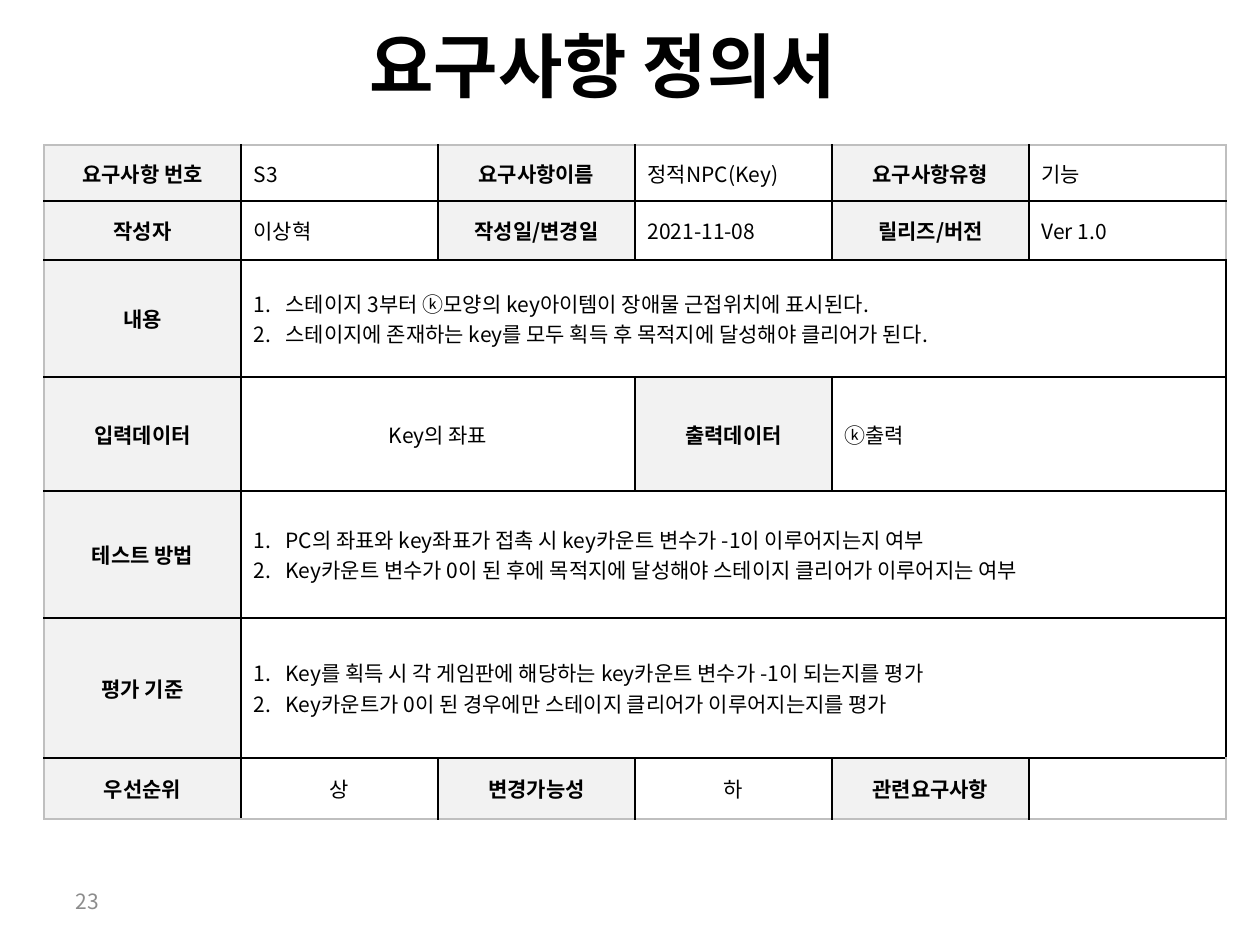
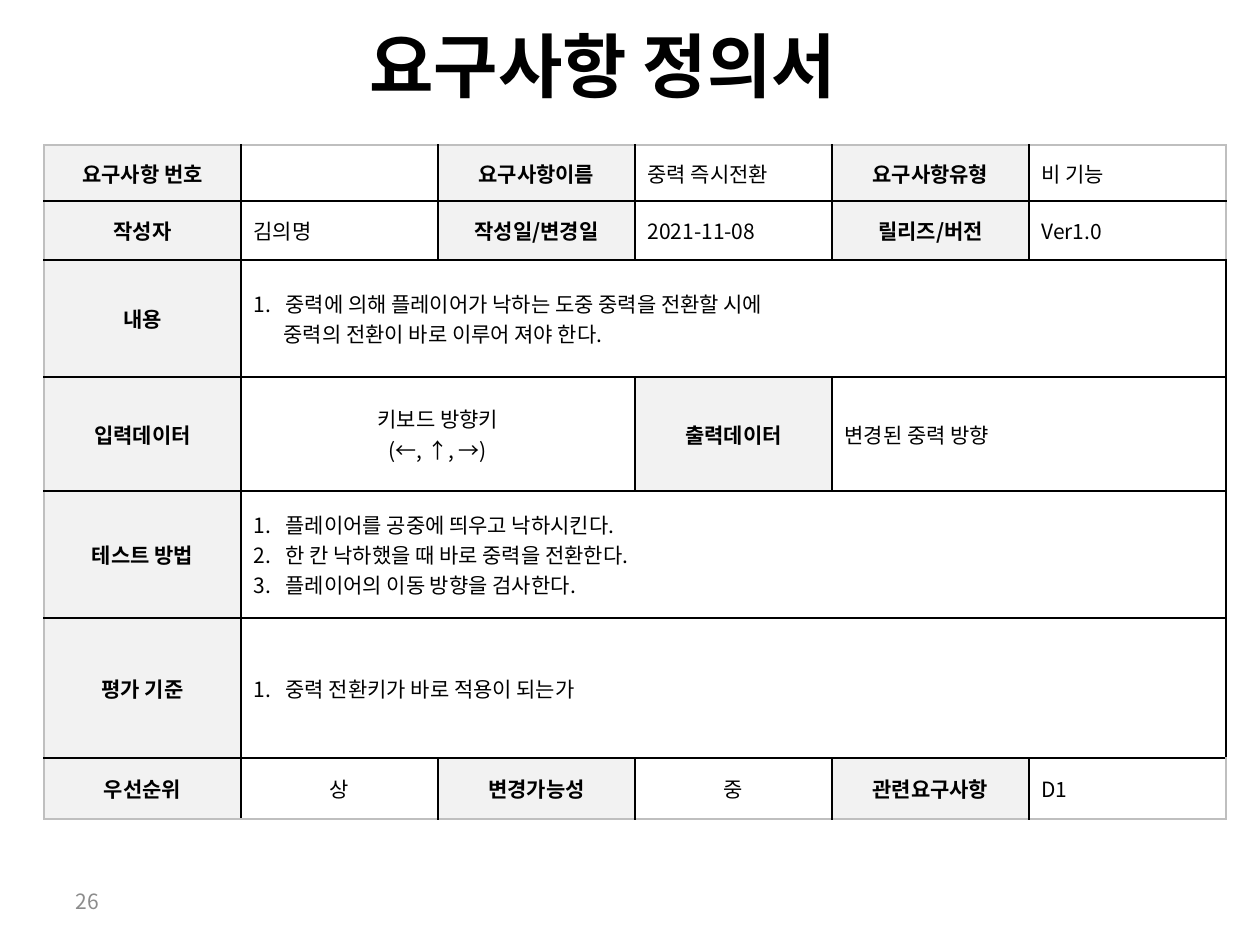
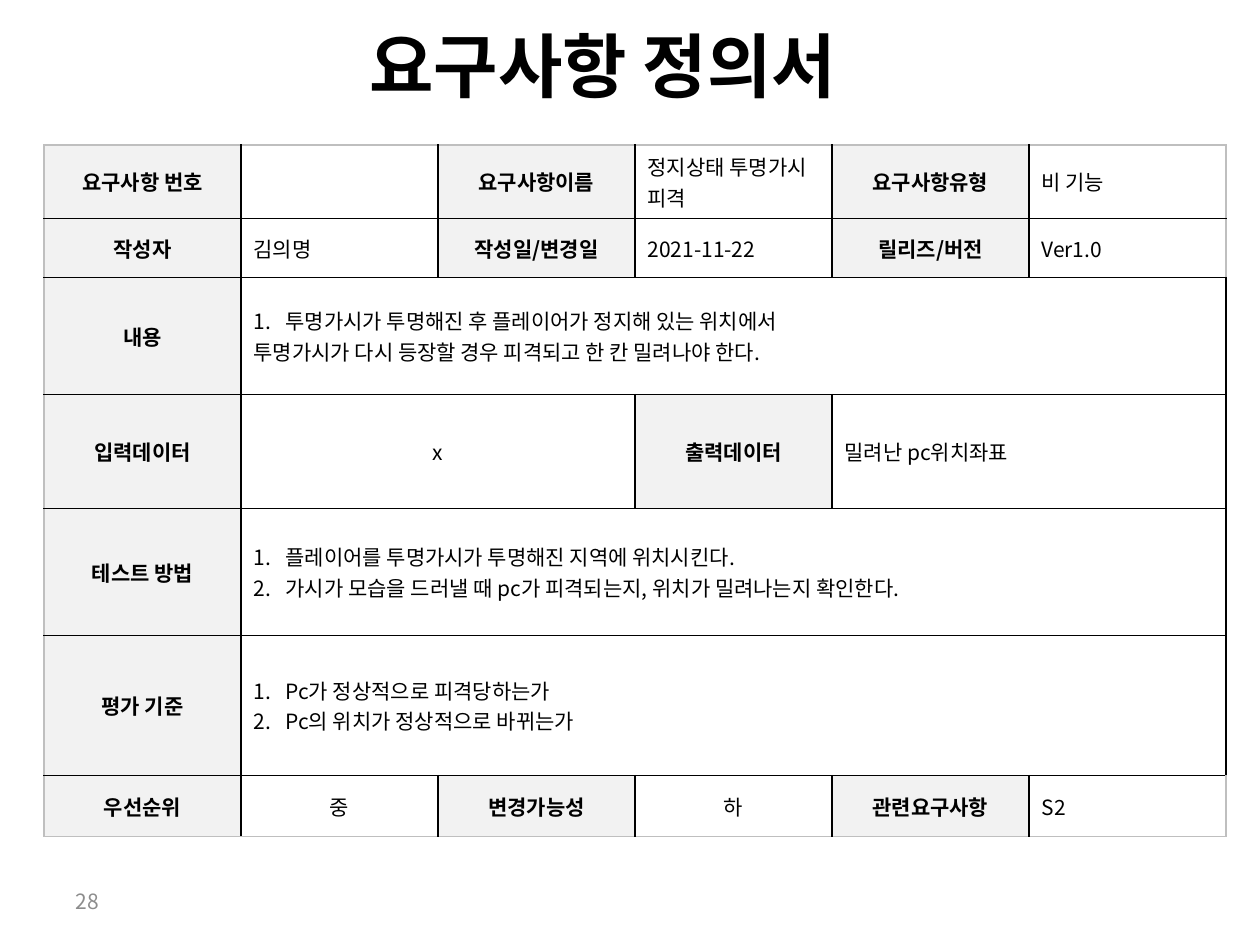
from lxml.etree import SubElement
from pptx import Presentation
from pptx.dml.color import RGBColor
from pptx.enum.text import MSO_ANCHOR, MSO_AUTO_SIZE, PP_ALIGN
from pptx.oxml.ns import qn
from pptx.util import Emu, Pt

PIXELS_PER_INCH = 126
FONT = "Noto Sans CJK KR"
COLORS = {"text": "000000", "label": "F2F2F2", "rule": "000000", "edge": "BFBFBF", "number": "8C8C8C"}
TITLE = "요구사항 정의서"
TITLE_BOX = (357, 16, 546, 97)
TABLE_BOX = (44, 145, 1182, 674)
NUMBER_BOX = (63, 876, 294, 50)
ROW_HEIGHTS = [56, 59, 117, 114, 127, 140, 61]
COLUMN_COUNT = 6
LIST_INDENT = 32

FORM_ROWS = [
    [("요구사항 번호", "id", 1), ("요구사항이름", "name", 1), ("요구사항유형", "type", 1)],
    [("작성자", "author", 1), ("작성일/변경일", "date", 1), ("릴리즈/버전", "version", 1)],
    [("내용", "content", 5)],
    [("입력데이터", "input", 2), ("출력데이터", "output", 2)],
    [("테스트 방법", "test", 5)],
    [("평가 기준", "criteria", 5)],
    [("우선순위", "priority", 1), ("변경가능성", "change", 1), ("관련요구사항", "related", 1)],
]
NUMBERED = {"content", "test", "criteria"}
CENTERED = {"input", "priority", "change"}

REQUIREMENTS = [
    {
        "page": "23", "id": ["S3"], "name": ["정적NPC(Key)"], "type": ["기능"],
        "author": ["이상혁"], "date": ["2021-11-08"], "version": ["Ver 1.0"],
        "content": [
            "스테이지 3부터 ⓚ모양의 key아이템이 장애물 근접위치에 표시된다.",
            "스테이지에 존재하는 key를 모두 획득 후 목적지에 달성해야 클리어가 된다.",
        ],
        "input": ["Key의 좌표"], "output": ["ⓚ출력"],
        "test": [
            "PC의 좌표와 key좌표가 접촉 시 key카운트 변수가 -1이 이루어지는지 여부",
            "Key카운트 변수가 0이 된 후에 목적지에 달성해야 스테이지 클리어가 이루어지는 여부",
        ],
        "criteria": [
            "Key를 획득 시 각 게임판에 해당하는 key카운트 변수가 -1이 되는지를 평가",
            "Key카운트가 0이 된 경우에만 스테이지 클리어가 이루어지는지를 평가",
        ],
        "priority": ["상"], "change": ["하"], "related": [""],
    },
    {
        "page": "26", "id": [""], "name": ["중력 즉시전환"], "type": ["비 기능"],
        "author": ["김의명"], "date": ["2021-11-08"], "version": ["Ver1.0"],
        "content": ["중력에 의해 플레이어가 낙하는 도중 중력을 전환할 시에"],
        "continuation": ("중력의 전환이 바로 이루어 져야 한다.", 30),
        "input": ["키보드 방향키", "(←, ↑, →)"], "output": ["변경된 중력 방향"],
        "test": [
            "플레이어를 공중에 띄우고 낙하시킨다.",
            "한 칸 낙하했을 때 바로 중력을 전환한다.",
            "플레이어의 이동 방향을 검사한다.",
        ],
        "criteria": ["중력 전환키가 바로 적용이 되는가"],
        "priority": ["상"], "change": ["중"], "related": ["D1"],
    },
    {
        "page": "28", "id": [""], "name": ["정지상태 투명가시 피격"], "type": ["비 기능"],
        "author": ["김의명"], "date": ["2021-11-22"], "version": ["Ver1.0"],
        "content": ["투명가시가 투명해진 후 플레이어가 정지해 있는 위치에서"],
        "continuation": ("투명가시가 다시 등장할 경우 피격되고 한 칸 밀려나야 한다.", 0),
        "input": ["x"], "output": ["밀려난 pc위치좌표"],
        "test": [
            "플레이어를 투명가시가 투명해진 지역에 위치시킨다.",
            "가시가 모습을 드러낼 때 pc가 피격되는지, 위치가 밀려나는지 확인한다.",
        ],
        "criteria": ["Pc가 정상적으로 피격당하는가", "Pc의 위치가 정상적으로 바뀌는가"],
        "priority": ["중"], "change": ["하"], "related": ["S2"],
    },
]


def px(length):
    return Emu(round(length * 914400 / PIXELS_PER_INCH))


def style_paragraph(para, size, color="text", bold=False, align=PP_ALIGN.LEFT):
    para.alignment = align
    para.font.name = FONT
    para.font.size = Pt(size)
    para.font.bold = bold
    para.font.color.rgb = RGBColor.from_string(COLORS[color])
    defaults = para._p.pPr.find(qn("a:defRPr"))
    SubElement(defaults, qn("a:ea"), typeface=FONT)
    if not para.text:
        SubElement(para._p, qn("a:endParaRPr"), sz=str(size * 100))


def set_indent(para, margin, numbered=False):
    properties = para._p.get_or_add_pPr()
    properties.set("marL", str(px(margin)))
    properties.set("indent", str(-px(margin) if numbered else 0))
    if numbered:
        SubElement(properties, qn("a:buAutoNum"), type="arabicPeriod")


def set_borders(cell, row, column):
    properties = cell._tc.get_or_add_tcPr()
    on_edge = {
        "a:lnL": column == 0,
        "a:lnR": column == COLUMN_COUNT - 1,
        "a:lnT": row == 0,
        "a:lnB": row == len(ROW_HEIGHTS) - 1,
    }
    for side, outer in on_edge.items():
        line = SubElement(properties, qn(side), w=str(Pt(1)))
        fill = SubElement(line, qn("a:solidFill"))
        SubElement(fill, qn("a:srgbClr"), val=COLORS["edge" if outer else "rule"])


def fill_label(cell, label):
    cell.fill.solid()
    cell.fill.fore_color.rgb = RGBColor.from_string(COLORS["label"])
    cell.text = label
    style_paragraph(cell.text_frame.paragraphs[0], 12, bold=True, align=PP_ALIGN.CENTER)


def fill_value(cell, key, requirement):
    lines = [(text, LIST_INDENT if key in NUMBERED else 0, key in NUMBERED) for text in requirement[key]]
    if key == "content" and "continuation" in requirement:
        lines.append((*requirement["continuation"], False))
    cell.text = "\n".join(text for text, _, _ in lines)
    align = PP_ALIGN.CENTER if key in CENTERED else PP_ALIGN.LEFT
    for para, (_, margin, numbered) in zip(cell.text_frame.paragraphs, lines):
        set_indent(para, margin, numbered)
        style_paragraph(para, 12, align=align)


def add_requirement_table(page, box, requirement):
    frame = page.shapes.add_table(len(ROW_HEIGHTS), COLUMN_COUNT, *map(px, box))
    table = frame.table
    table.first_row = table.horz_banding = False
    for column in table.columns:
        column.width = px(box[2] // COLUMN_COUNT)
    for row, height in enumerate(ROW_HEIGHTS):
        table.rows[row].height = px(height)
        for column in range(COLUMN_COUNT):
            cell = table.cell(row, column)
            set_borders(cell, row, column)
            cell.fill.background()
            cell.vertical_anchor = MSO_ANCHOR.MIDDLE
    for row, fields in enumerate(FORM_ROWS):
        column = 0
        for label, key, span in fields:
            fill_label(table.cell(row, column), label)
            value = table.cell(row, column + 1)
            if span > 1:
                value.merge(table.cell(row, column + span))
            fill_value(value, key, requirement)
            column += span + 1


def place_title(page, box):
    title = page.shapes.title
    title.left, title.top, title.width, title.height = map(px, box)
    frame = title.text_frame
    frame.text = TITLE
    frame.auto_size = MSO_AUTO_SIZE.NONE
    frame.vertical_anchor = MSO_ANCHOR.TOP
    style_paragraph(frame.paragraphs[0], 40, bold=True)


def add_page_number(page, box, number):
    frame = page.shapes.add_textbox(*map(px, box)).text_frame
    frame.word_wrap = True
    frame.vertical_anchor = MSO_ANCHOR.MIDDLE
    frame.text = number
    style_paragraph(frame.paragraphs[0], 12, "number")


def add_requirement_page(deck, requirement):
    page = deck.slides.add_slide(deck.slide_layouts[5])
    add_requirement_table(page, TABLE_BOX, requirement)
    place_title(page, TITLE_BOX)
    add_page_number(page, NUMBER_BOX, requirement["page"])


def main():
    deck = Presentation()
    deck.slide_width, deck.slide_height = px(1260), px(945)
    for requirement in REQUIREMENTS:
        add_requirement_page(deck, requirement)
    deck.save("out.pptx")


if __name__ == "__main__":
    main()
